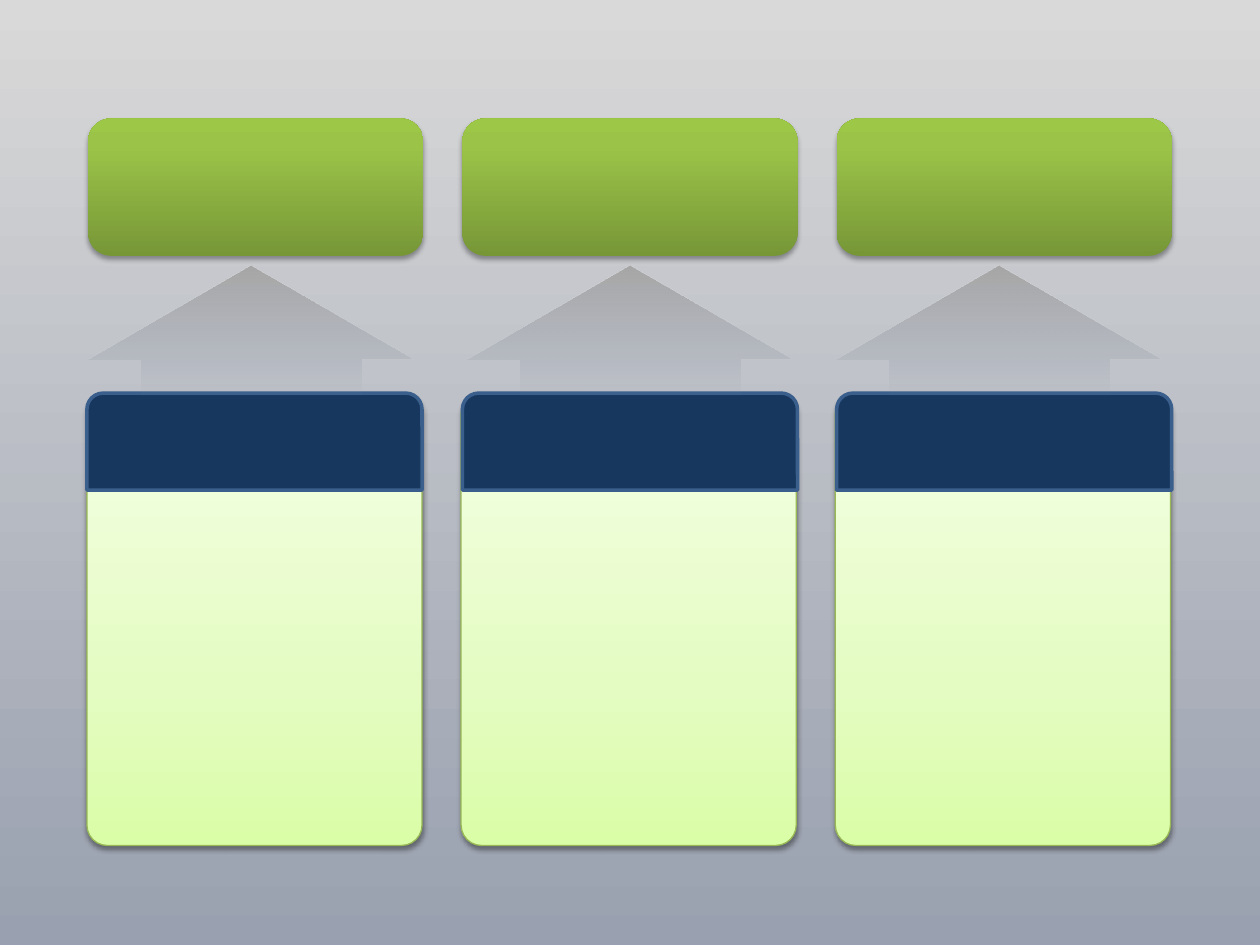
"""Build a slide of three columns, each with a panel, header, arrow and top box."""
from lxml.etree import SubElement
from pptx import Presentation
from pptx.dml.color import RGBColor
from pptx.enum.shapes import MSO_SHAPE as Shape
from pptx.oxml.ns import qn
from pptx.util import Inches, Pt

COLORS = {
    "mist": "D9D9D9", "slate": "99A0AF", "gray": "A6A6A6",
    "lime": "DAFDA7", "pale_lime": "E4FCC2", "cream": "F5FFE7", "lime_edge": "98B955",
    "navy": "17375E", "navy_edge": "3A5F8C",
    "moss": "779737", "leaf": "9BC348", "bright_leaf": "9DC746", "black": "000000",
}
BACKGROUND = [(0, "slate", 100), (100, "mist", 100)]
ROWS = [
    {"kind": Shape.ROUNDED_RECTANGLE, "lefts": (0.69, 3.66, 6.63), "top": 3.12,
     "size": (2.66, 3.59), "adjustments": (0.061,), "line": ("lime_edge", 0.75), "shadow": (38, 1.6),
     "gradient": [(0, "lime", 100), (35, "pale_lime", 100), (100, "cream", 100)]},
    {"kind": Shape.ROUND_2_SAME_RECTANGLE, "lefts": (0.69, 3.67, 6.64), "top": 3.12,
     "size": (2.66, 0.77), "solid": "navy", "line": ("navy_edge", 2)},
    {"kind": Shape.UP_ARROW, "lefts": (0.7, 3.71, 6.64), "top": 2.11,
     "size": (2.58, 1.04), "adjustments": (0.678, 0.715),
     "gradient": [(0, "slate", 0), (100, "gray", 100)]},
    {"kind": Shape.ROUNDED_RECTANGLE, "lefts": (0.7, 3.67, 6.64), "top": 0.94,
     "size": (2.66, 1.09), "shadow": (35, 1.8),
     "gradient": [(0, "moss", 100), (80, "leaf", 100), (100, "bright_leaf", 100)]},
]


def rgb(name):
    return RGBColor.from_string(COLORS[name])


def add_color(parent, name, opacity):
    color = SubElement(parent, qn("a:srgbClr"), val=COLORS[name])
    if opacity < 100:
        SubElement(color, qn("a:alpha"), val=str(opacity * 1000))


def set_gradient(fill, element, stops):
    fill.gradient()
    fill.gradient_angle = 90
    stop_list = next(element.iter(qn("a:gsLst")))
    for old_stop in list(stop_list):
        stop_list.remove(old_stop)
    for position, name, opacity in stops:
        stop = SubElement(stop_list, qn("a:gs"), pos=str(position * 1000))
        add_color(stop, name, opacity)


def set_shadow(shape, opacity, distance):
    effects = next(shape.element.iter(qn("a:effectLst")))
    shadow = SubElement(effects, qn("a:outerShdw"), blurRad=str(Pt(3.1)),
                        dist=str(Pt(distance)), dir="5400000", rotWithShape="0")
    add_color(shadow, "black", opacity)


def add_block(slide, row, left):
    width, height = row["size"]
    shape = slide.shapes.add_shape(
        row["kind"], Inches(left), Inches(row["top"]), Inches(width), Inches(height))
    for index, value in enumerate(row.get("adjustments", ())):
        shape.adjustments[index] = value
    if "gradient" in row:
        set_gradient(shape.fill, shape.element, row["gradient"])
    else:
        shape.fill.solid()
        shape.fill.fore_color.rgb = rgb(row["solid"])
    if "line" in row:
        name, points = row["line"]
        shape.line.color.rgb = rgb(name)
        shape.line.width = Pt(points)
    else:
        shape.line.fill.background()
    shape.shadow.inherit = False
    if "shadow" in row:
        set_shadow(shape, *row["shadow"])


def main():
    presentation = Presentation()
    presentation.slide_width, presentation.slide_height = Inches(10), Inches(7.5)
    slide = presentation.slides.add_slide(presentation.slide_layouts[6])
    set_gradient(slide.background.fill, slide.element, BACKGROUND)
    for row in ROWS:
        for left in row["lefts"]:
            add_block(slide, row, left)
    presentation.save("out.pptx")


if __name__ == "__main__":
    main()
